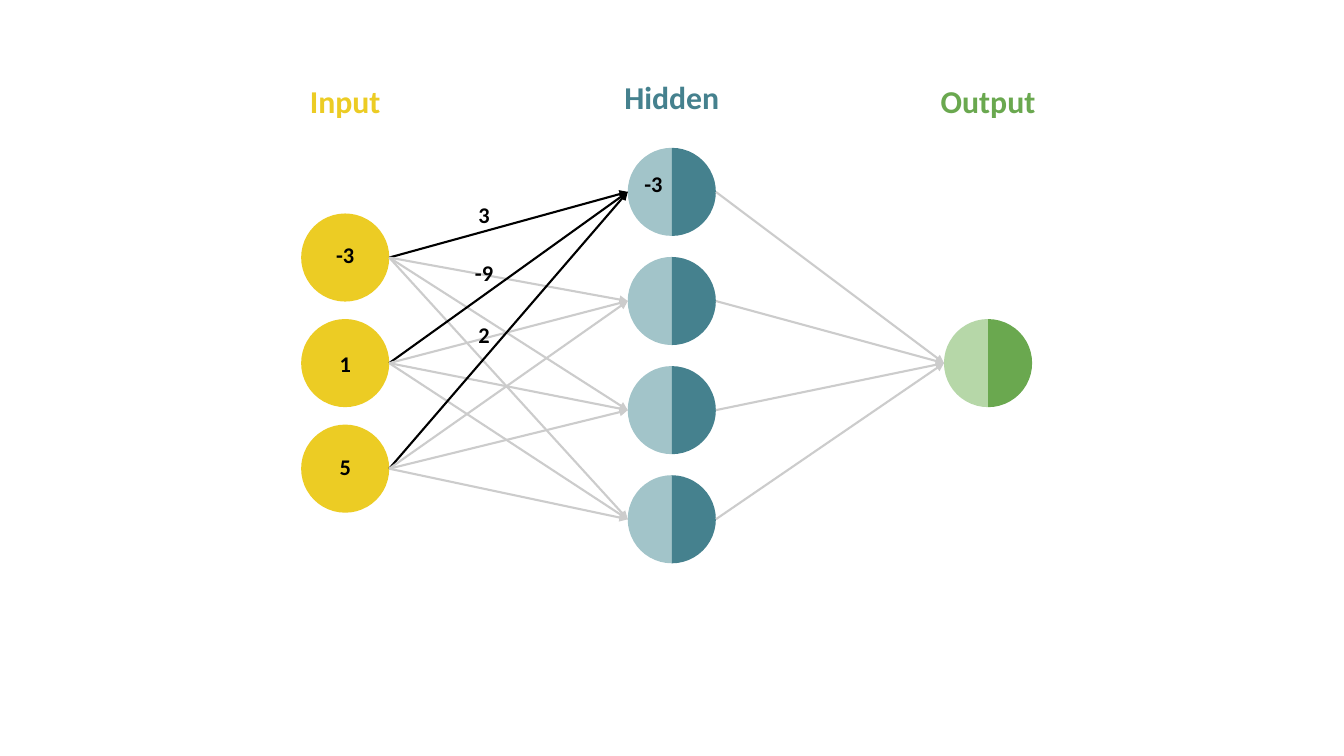
from lxml import etree
from pptx import Presentation
from pptx.dml.color import RGBColor
from pptx.enum.shapes import MSO_CONNECTOR, MSO_SHAPE
from pptx.enum.text import MSO_AUTO_SIZE, PP_ALIGN
from pptx.oxml.ns import qn
from pptx.util import Cm, Pt

YELLOW = RGBColor(0xEC, 0xCC, 0x24)
TEAL = RGBColor(0x45, 0x81, 0x8E)
PALE_TEAL = RGBColor(0xA2, 0xC4, 0xC9)
GREEN = RGBColor(0x6A, 0xA8, 0x4F)
PALE_GREEN = RGBColor(0xB6, 0xD7, 0xA8)
GREY = RGBColor(0xCC, 0xCC, 0xCC)
BLACK = RGBColor(0, 0, 0)

# Content; all lengths are in centimetres
LAYERS = [
    dict(name="Input", color=YELLOW, pale=None, nodes=3, x=8.7, middle=9.15,
         pitch=2.66, heading_top=1.73, heading_width=3.2),
    dict(name="Hidden", color=TEAL, pale=PALE_TEAL, nodes=4, x=16.93, middle=8.96,
         pitch=2.75, heading_top=1.63, heading_width=3.68),
    dict(name="Output", color=GREEN, pale=PALE_GREEN, nodes=1, x=24.9, middle=9.15,
         pitch=0, heading_top=1.73, heading_width=3.68),
]
# Text, centre x, top
NUMBERS = [
    ("3", 12.2, 4.95), ("-9", 12.2, 6.4), ("2", 12.2, 7.98),  # weights
    ("-3", 8.7, 5.94), ("1", 8.7, 8.69), ("5", 8.7, 11.3),  # input values
    ("-3", 16.47, 4.17),  # weighted sum
]
DIAMETER = 2.22
RADIUS = DIAMETER / 2

deck = Presentation()
deck.slide_width, deck.slide_height = Cm(33.87), Cm(19.05)
slide = deck.slides.add_slide(deck.slide_layouts[6])


def add_label(text, center, top, width=1.3, height=0.94, size=16, color=BLACK,
              inset=None):
    label = slide.shapes.add_textbox(Cm(center - width / 2), Cm(top), Cm(width), Cm(height))
    frame = label.text_frame
    frame.word_wrap = True
    if inset is None:
        frame.auto_size = MSO_AUTO_SIZE.SHAPE_TO_FIT_TEXT
    else:
        frame.margin_left = frame.margin_right = Cm(inset)
        frame.margin_top = frame.margin_bottom = Cm(inset)
    paragraph = frame.paragraphs[0]
    paragraph.alignment = PP_ALIGN.CENTER
    run = paragraph.add_run()
    run.text = text
    run.font.name, run.font.size, run.font.bold = "Calibri", Pt(size), True
    run.font.color.rgb = color


def add_disc(preset, x, y, color):
    disc = slide.shapes.add_shape(preset, Cm(x - RADIUS), Cm(y - RADIUS),
                                  Cm(DIAMETER), Cm(DIAMETER))
    disc.shadow.inherit = False
    disc.fill.solid()
    disc.fill.fore_color.rgb = color
    disc.line.fill.background()
    return disc


def add_half(x, y, color, rotation):
    half = add_disc(MSO_SHAPE.PIE, x, y, color)
    half.adjustments[0], half.adjustments[1] = 54, 162  # 90 to 270 degrees
    half.rotation = rotation


def add_arrow(start, end, color):
    arrow = slide.shapes.add_connector(
        MSO_CONNECTOR.STRAIGHT, *(Cm(value) for value in start + end))
    arrow.line.color.rgb = color
    arrow.line.width = Pt(1.5)
    etree.SubElement(arrow.line._get_or_add_ln(), qn("a:tailEnd"), type="triangle")
    etree.SubElement(arrow._element.spPr, qn("a:effectLst"))


def node_centers(layer):
    first = layer["middle"] - layer["pitch"] * (layer["nodes"] - 1) / 2
    return [first + row * layer["pitch"] for row in range(layer["nodes"])]


# Nodes: whole discs for the input, two halves elsewhere
for layer in LAYERS:
    for y in node_centers(layer):
        if layer["pale"] is None:
            add_disc(MSO_SHAPE.OVAL, layer["x"], y, layer["color"])
        else:
            add_half(layer["x"], y, layer["pale"], 0)
            add_half(layer["x"], y, layer["color"], 180)

# Arrows: every node to every node of the next layer
for source, target in zip(LAYERS, LAYERS[1:]):
    for start_y in node_centers(source):
        for row, end_y in enumerate(node_centers(target)):
            highlighted = source["name"] == "Input" and row == 0
            add_arrow((source["x"] + RADIUS, start_y), (target["x"] - RADIUS, end_y),
                      BLACK if highlighted else GREY)

# Headings and numbers
for layer in LAYERS:
    add_label(layer["name"], layer["x"], layer["heading_top"], width=layer["heading_width"],
              height=1.32, size=22.7, color=layer["color"], inset=0.33)
for text, center, top in NUMBERS:
    add_label(text, center, top)

deck.save("out.pptx")
